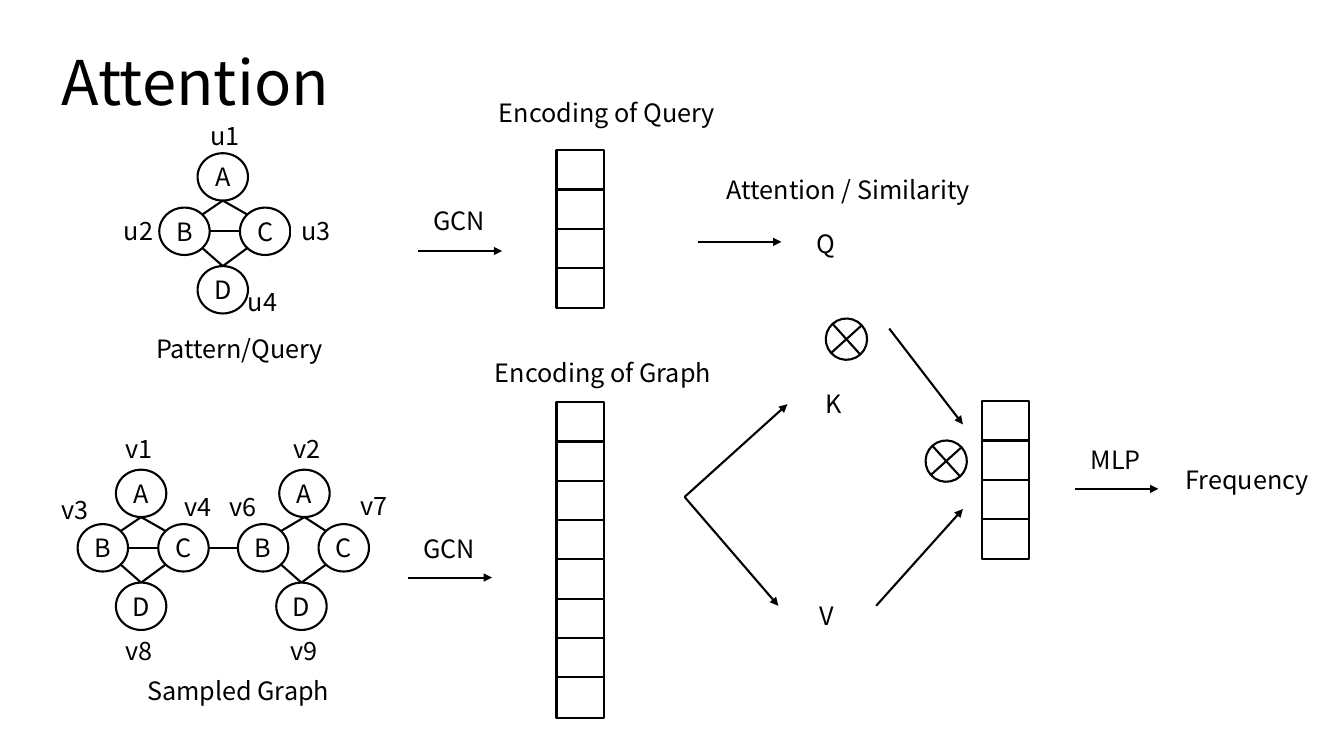
from math import sqrt

from lxml import etree
from pptx import Presentation
from pptx.dml.color import RGBColor
from pptx.enum.shapes import MSO_CONNECTOR, MSO_SHAPE
from pptx.enum.text import MSO_ANCHOR, MSO_AUTO_SIZE, PP_ALIGN
from pptx.oxml.ns import qn
from pptx.util import Inches, Pt

STRAIGHT = MSO_CONNECTOR.STRAIGHT
RECTANGLE, OVAL, CROSSED_CIRCLE = MSO_SHAPE.RECTANGLE, MSO_SHAPE.OVAL, MSO_SHAPE.FLOWCHART_OR
MIDDLE, CENTER, LEFT = MSO_ANCHOR.MIDDLE, PP_ALIGN.CENTER, PP_ALIGN.LEFT
GROW = MSO_AUTO_SIZE.SHAPE_TO_FIT_TEXT

FONT, BLACK, WHITE = "Noto Sans CJK SC", "000000", "FFFFFF"
TITLE_ONLY = 5
GRID = Inches(0.1)
NODE_WIDTH, NODE_HEIGHT = 5, 4.7
CELL_WIDTH, CELL_HEIGHT, CELL_PITCH = 4.7, 4, 3.9
ARROW_LENGTH = 8.3

VERTEX_LABELS = [
    ("u1", 19.9, 11.4), ("u2", 11.3, 20.9), ("u4", 23.6, 27.9),
    ("v1", 11.5, 42.5), ("v2", 28.1, 42.5), ("v3", 5.1, 48.5), ("v4", 17.3, 48.3),
    ("v6", 21.8, 48.3), ("v7", 34.8, 48.2), ("v8", 11.5, 62.5), ("v9", 27.8, 62.5),
]
CAPTIONS = [
    ("Pattern/Query", 14.5, 32.6, 18.6), ("Sampled Graph", 13.6, 66.5, 27.8),
    ("Encoding of Query", 48.5, 9.2, 32.2), ("Encoding of Graph", 48.1, 35, 32.2),
    ("Attention / Similarity", 71.1, 16.8, 32.2), ("Frequency", 116.6, 45.6, 16),
    ("GCN", 42, 19.9, 9.3), ("GCN", 41, 52.4, 9.3), ("MLP", 107.2, 43.6, 9.3),
    ("Q", 80, 22.2, 9.3), ("K", 80.9, 38, 9.3), ("V", 80.3, 59.1, 9.3),
]
LEVEL_ARROWS = [(41.5, 24.9), (40.5, 57.3), (69.2, 24), (106.6, 48.5)]
SLOPED_ARROWS = [
    ((67.9, 49.3), (78.1, 40.1)), ((67.9, 49.3), (77.2, 60.1)),
    ((88.2, 32.6), (95.5, 42.1)), ((86.9, 60.1), (95.5, 50.5)),
]
CELL_STACKS = [(55.2, 14.9, 4), (55.2, 39.9, 8), (97.4, 39.8, 4)]
PRODUCTS = [(91.8, 43.7), (81.9, 31.6)]


def grid(*steps):
    """Turn grid steps into slide lengths."""
    return [round(step * GRID) for step in steps]


def color(value):
    """Turn a hex string into a colour."""
    return RGBColor.from_string(value)


def set_font(para, size=18):
    """Apply the slide's font to a paragraph."""
    para.font.name = FONT
    para.font.size = Pt(size)
    para.font.color.rgb = color(BLACK)


def add_title(page, text):
    """Place and format the title placeholder."""
    title = page.shapes.title
    title.left, title.top, title.width, title.height = grid(5.1, 1.2, 115, 14.5)
    title.text_frame.text = text
    title.text_frame.vertical_anchor = MIDDLE
    para = title.text_frame.paragraphs[0]
    para.alignment = LEFT
    para.line_spacing = 0.9
    set_font(para, 44)


def add_label(page, text, left, top, width=6.2):
    """Add a one-line text box."""
    box = page.shapes.add_textbox(*grid(left, top, width, 4))
    box.text_frame.word_wrap = True
    box.text_frame.auto_size = GROW
    box.text_frame.text = text
    set_font(box.text_frame.paragraphs[0])
    return box


def add_outline(page, kind, left, top, width, height):
    """Add a white shape with a black outline."""
    shape = page.shapes.add_shape(kind, *grid(left, top, width, height))
    shape.shadow.inherit = False
    shape.fill.solid()
    shape.fill.fore_color.rgb = color(WHITE)
    shape.line.color.rgb = color(BLACK)
    shape.line.width = Pt(1.5)
    return shape


def add_line(page, start, end, arrow=False):
    """Draw a straight line, with an arrowhead at its end if asked."""
    line = page.shapes.add_connector(STRAIGHT, *grid(*start, *end))
    line.line.color.rgb = color(BLACK)
    line.line.width = Pt(1.5)
    if arrow:
        head = etree.SubElement(line.line._get_or_add_ln(), qn("a:tailEnd"))
        head.set("type", "triangle")
    etree.SubElement(line._element.spPr, qn("a:effectLst"))


def add_node(page, text, left, top):
    """Add a lettered graph vertex."""
    node = add_outline(page, OVAL, left, top, NODE_WIDTH, NODE_HEIGHT)
    frame = node.text_frame
    frame.margin_left = frame.margin_right = frame.margin_top = frame.margin_bottom = 0
    frame.vertical_anchor = MIDDLE
    frame.text = text
    frame.paragraphs[0].alignment = CENTER
    set_font(frame.paragraphs[0])


def rim(corner, across, down):
    """Find a point on a vertex's rim in a direction from its centre."""
    reach = sqrt(across ** 2 + down ** 2)
    return (corner[0] + NODE_WIDTH / 2 * (1 + across / reach),
            corner[1] + NODE_HEIGHT / 2 * (1 + down / reach))


def add_diamond(page, left, top, apex=3.8, foot=3.8, crossbar=True):
    """Draw vertices A to D and the edges between them."""
    nodes = {"A": (left + apex, top), "C": (left + 8, top + 5.4),
             "B": (left, top + 5.4), "D": (left + foot, top + 11.2)}
    for text, corner in nodes.items():
        add_node(page, text, *corner)
    for side, inward in (("B", 1), ("C", -1)):
        add_line(page, rim(nodes["A"], 0, 1), rim(nodes[side], inward, -1))
        add_line(page, rim(nodes["D"], 0, -1), rim(nodes[side], inward, 1))
    if crossbar:
        add_line(page, rim(nodes["B"], 1, 0), rim(nodes["C"], -1, 0))
    return nodes


def add_cells(page, left, top, count):
    """Stack the cells of an encoding vector."""
    for row in range(count):
        add_outline(page, RECTANGLE, left, top + row * CELL_PITCH, CELL_WIDTH, CELL_HEIGHT)


def add_product(page, left, top):
    """Add a crossed circle for a product."""
    product = add_outline(page, CROSSED_CIRCLE, left, top, 4.1, 4.1)
    product.fill.background()
    product.rotation = 47.9


def main():
    """Build the attention slide."""
    deck = Presentation()
    deck.slide_width, deck.slide_height = Inches(13.33), Inches(7.5)
    page = deck.slides.add_slide(deck.slide_layouts[TITLE_ONLY])
    add_title(page, "Attention")
    add_diamond(page, 15.8, 15.2)
    first = add_diamond(page, 7.7, 46.6)
    second = add_diamond(page, 23.6, 46.6, apex=4.1, crossbar=False)
    add_line(page, rim(first["C"], 1, 0), rim(second["B"], -1, 0))
    for stack in CELL_STACKS:
        add_cells(page, *stack)
    for label in VERTEX_LABELS + CAPTIONS:
        add_label(page, *label)
    framed = add_label(page, "u3", 28.9, 20.9)
    framed.line.color.rgb = color(WHITE)
    framed.line.width = Pt(0.75)
    for left, top in LEVEL_ARROWS:
        add_line(page, (left, top), (left + ARROW_LENGTH, top), arrow=True)
    for start, end in SLOPED_ARROWS:
        add_line(page, start, end, arrow=True)
    for product in PRODUCTS:
        add_product(page, *product)
    deck.save("out.pptx")


if __name__ == "__main__":
    main()
